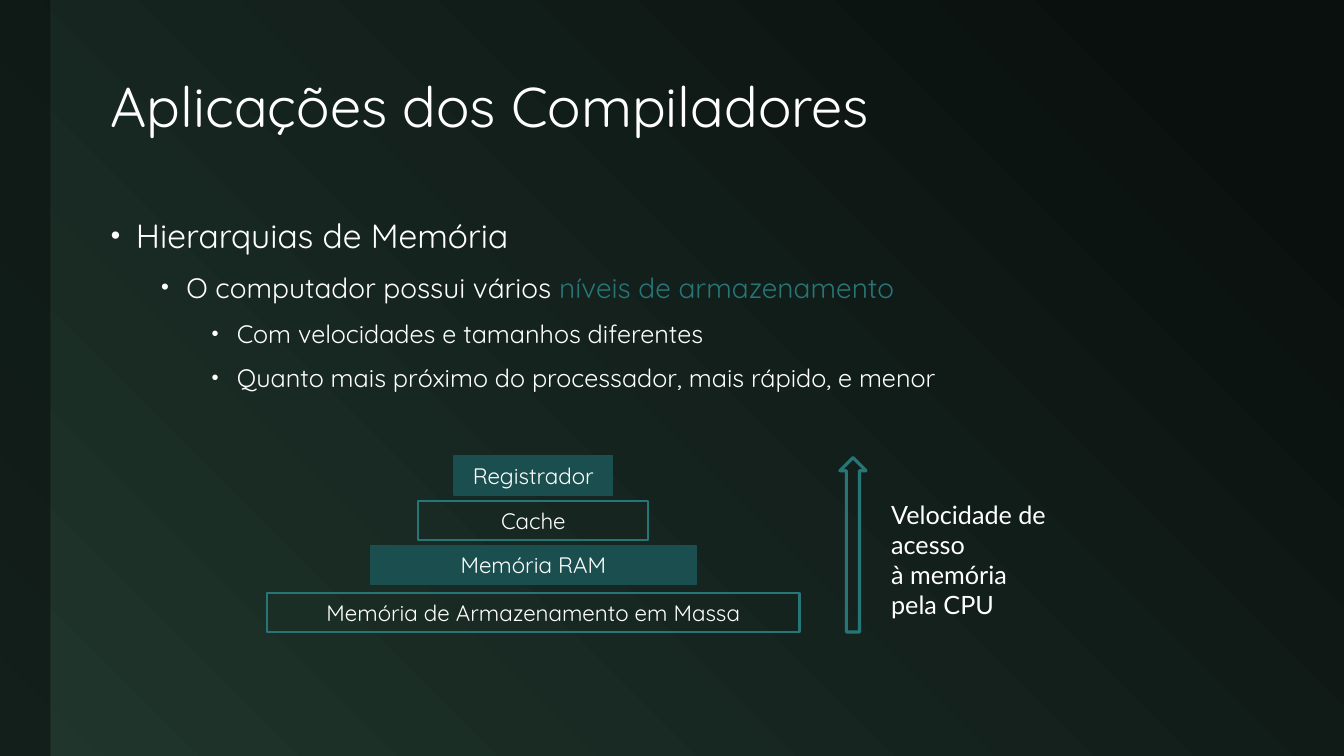
from lxml.etree import SubElement
from pptx import Presentation
from pptx.dml.color import RGBColor
from pptx.enum.shapes import MSO_SHAPE as Preset
from pptx.enum.text import MSO_ANCHOR as Anchor, PP_ALIGN as Align
from pptx.oxml.ns import qn
from pptx.util import Inches, Pt

WHITE, TEAL, DARK_TEAL = "FFFFFF", "267577", "1A4E4F"
NIGHT, FOREST = "0A100E", "20362D"


def paint(color, value):
    color.rgb = RGBColor.from_string(value)


def add_run(paragraph, text, size, color=WHITE, font="Quicksand"):
    run = paragraph.add_run()
    run.text = text
    run.font.size = Pt(size)
    run.font.name = font
    paint(run.font.color, color)


presentation = Presentation()
presentation.slide_width = Inches(13.33)
presentation.slide_height = Inches(7.5)
slide = presentation.slides.add_slide(presentation.slide_layouts[6])
shapes = slide.shapes

# Background: dark top right to green bottom left
background = slide.background.fill
background.gradient()
background.gradient_angle = 225
for stop, position, color in zip(background.gradient_stops, (0.1, 1), (NIGHT, FOREST)):
    stop.position = position
    paint(stop.color, color)

# Translucent side band
band = shapes.add_shape(Preset.RECTANGLE, 0, 0, Inches(0.5), Inches(7.5))
band.shadow.inherit = False
band.line.fill.background()
band.fill.solid()
paint(band.fill.fore_color, NIGHT)
band_color = band.fill._xPr.find(qn("a:solidFill"))[0]
SubElement(band_color, qn("a:alpha")).set("val", "60000")

# Title
title = shapes.add_textbox(Inches(1), Inches(0.42), Inches(11.65), Inches(1.33)).text_frame
title.word_wrap = True
title.vertical_anchor = Anchor.MIDDLE
title.paragraphs[0].line_spacing = 0.9
add_run(title.paragraphs[0], "Aplicações dos Compiladores", 40)

# Bulleted list: level, size, space before, runs
topics = [
    (0, 24, 18, [("Hierarquias de Memória", WHITE)]),
    (1, 20, 6, [("O computador possui vários ", WHITE), ("níveis de armazenamento", TEAL)]),
    (2, 18, 6, [("Com velocidades e tamanhos diferentes", WHITE)]),
    (2, 18, 6, [("Quanto mais próximo do processador, mais rápido, e menor", WHITE)]),
]
body = shapes.add_textbox(Inches(1), Inches(2), Inches(11.65), Inches(4.83)).text_frame
body.word_wrap = True
for index, (level, size, space_before, runs) in enumerate(topics):
    paragraph = body.add_paragraph() if index else body.paragraphs[0]
    paragraph.level = level
    paragraph.line_spacing = 1.2
    paragraph.space_before = Pt(space_before)
    properties = paragraph._p.get_or_add_pPr()
    properties.set("marL", str(Inches(0.25 + 0.5 * level)))
    properties.set("indent", str(Inches(-0.25)))
    SubElement(properties, qn("a:buSzPct")).set("val", "80000")
    SubElement(properties, qn("a:buFont")).set("typeface", "Arial")
    SubElement(properties, qn("a:buChar")).set("char", "•")
    for text, color in runs:
        add_run(paragraph, text, size, color)

# Speed arrow and its label
arrow = shapes.add_shape(Preset.UP_ARROW, Inches(8.33), Inches(4.54), Inches(0.26), Inches(1.73))
arrow.shadow.inherit = False
arrow.fill.background()
paint(arrow.line.color, TEAL)
arrow.line.width = Pt(2.25)

label = shapes.add_textbox(Inches(8.74), Inches(4.9), Inches(2.4), Inches(1.01)).text_frame
label.word_wrap = True
for index, line in enumerate(("Velocidade de acesso", "à memória", "pela CPU")):
    if index:
        label.paragraphs[0].add_line_break()
    add_run(label.paragraphs[0], line, 18, font="Lato")

# Memory pyramid, centred on one axis: name, top, width, filled
pyramid_center = 5.29
memories = [
    ("Registrador", 4.52, 1.57, True),
    ("Cache", 4.97, 2.28, False),
    ("Memória RAM", 5.41, 3.23, True),
    ("Memória de Armazenamento em Massa", 5.88, 5.28, False),
]
for name, top, width, filled in memories:
    level_box = shapes.add_shape(Preset.RECTANGLE, Inches(pyramid_center - width / 2),
                                 Inches(top), Inches(width), Inches(0.39))
    level_box.shadow.inherit = False
    if filled:
        level_box.fill.solid()
        paint(level_box.fill.fore_color, DARK_TEAL)
    else:
        level_box.fill.background()
    paint(level_box.line.color, DARK_TEAL if filled else TEAL)
    level_box.line.width = Pt(1 if filled else 1.5)
    frame = level_box.text_frame
    frame.word_wrap = True
    frame.vertical_anchor = Anchor.MIDDLE
    frame.paragraphs[0].alignment = Align.CENTER
    add_run(frame.paragraphs[0], name, 16)

presentation.save("out.pptx")
